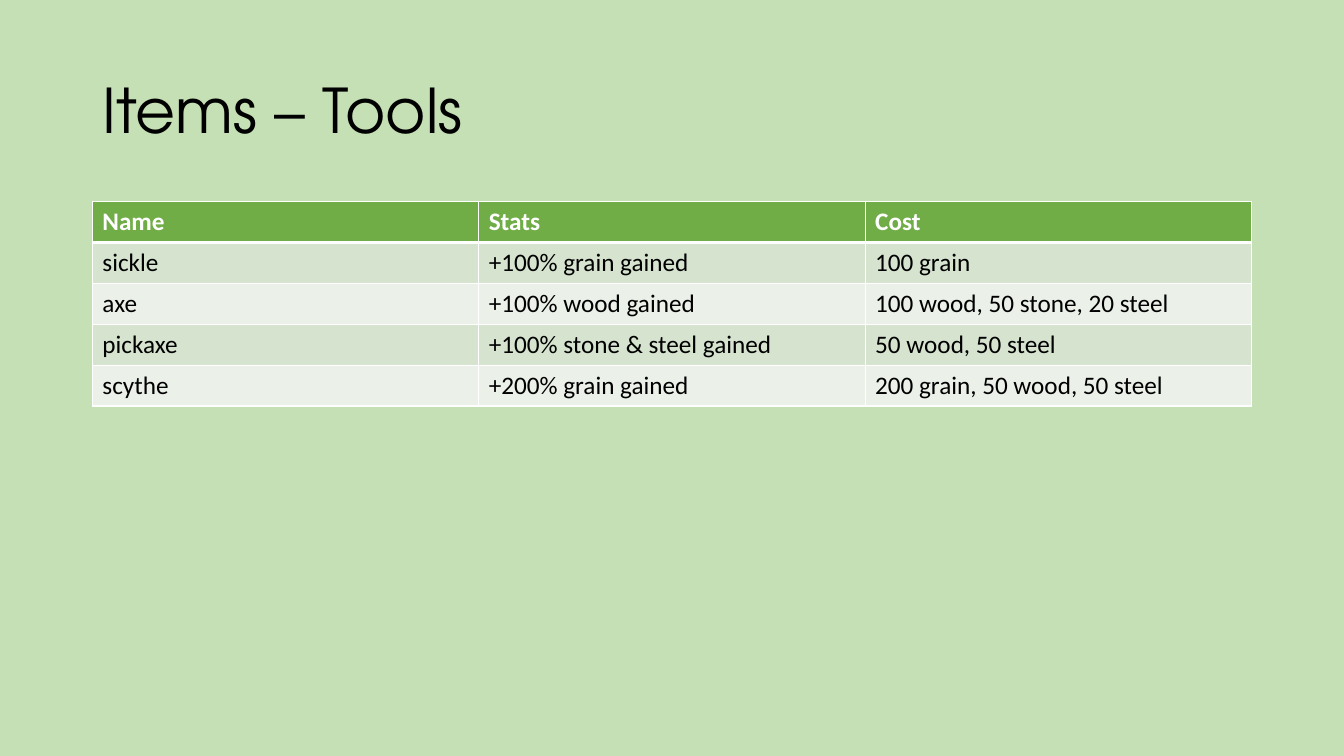
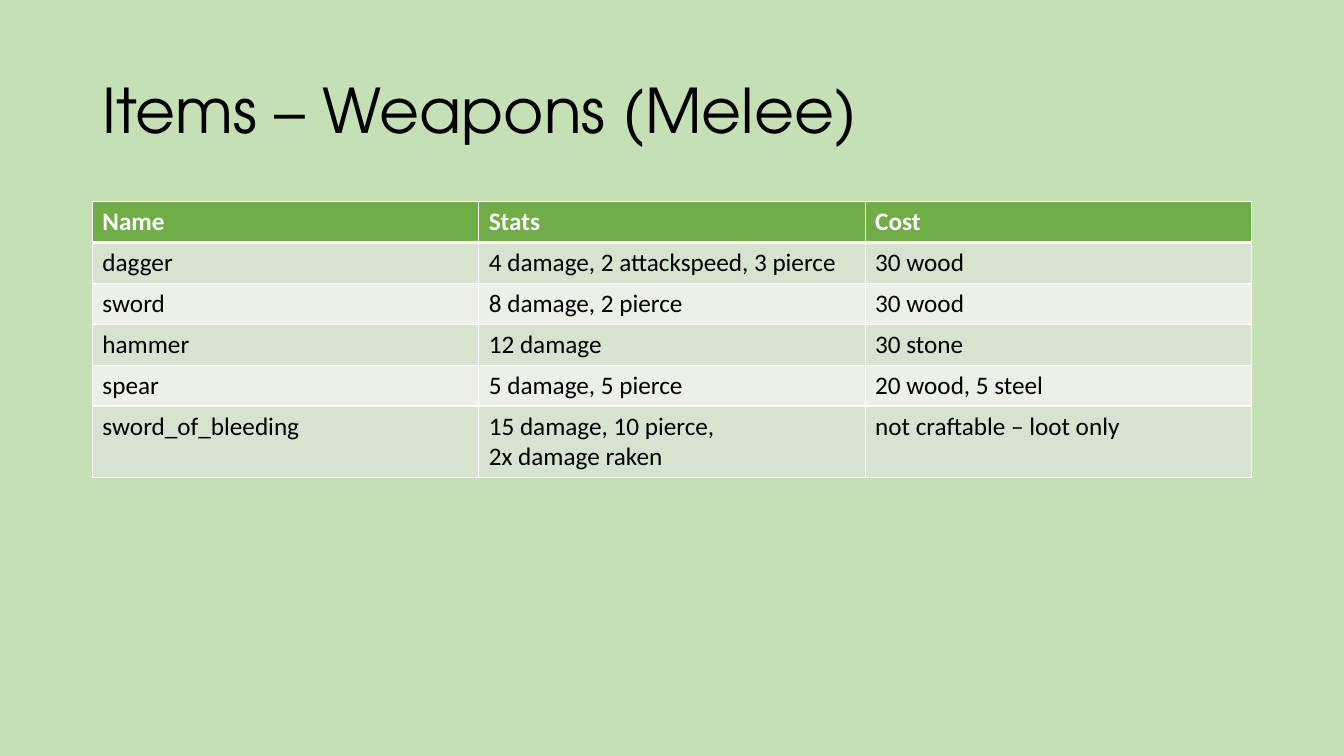
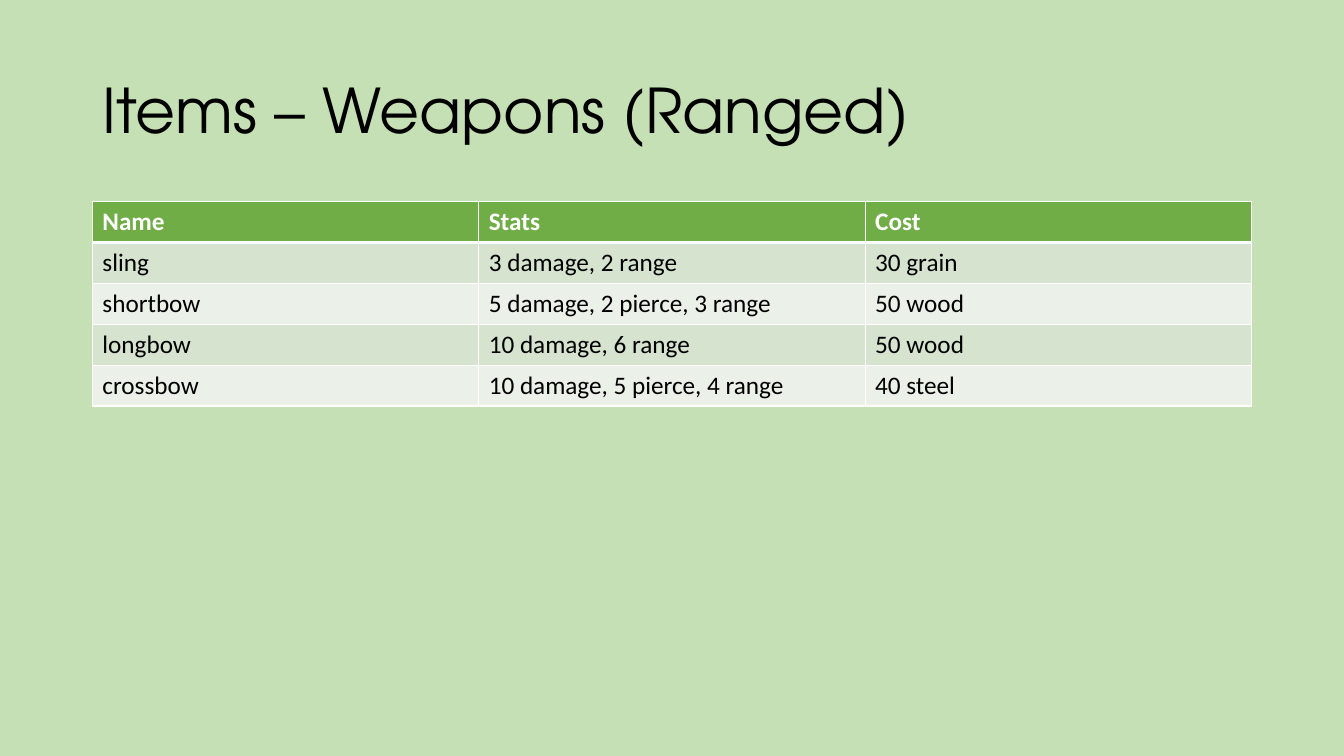
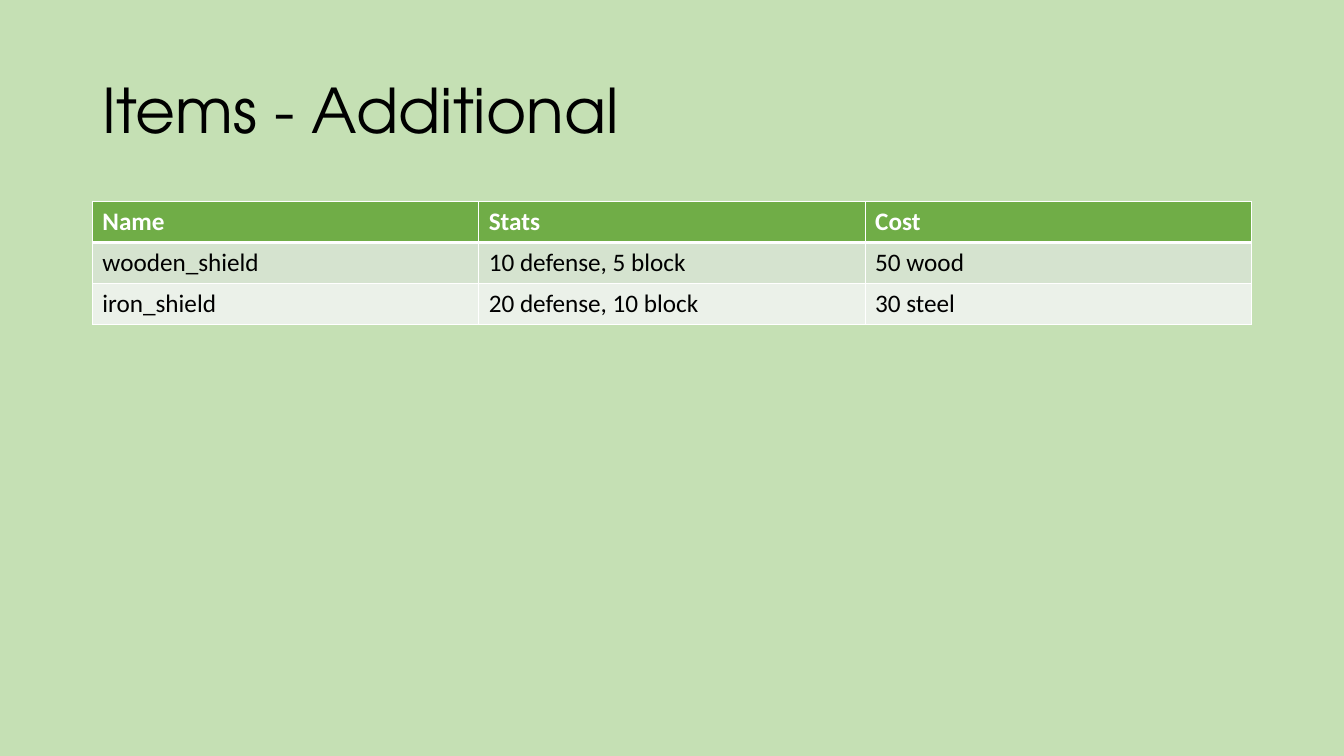
from lxml import etree
from pptx import Presentation
from pptx.dml.color import RGBColor
from pptx.enum import text
from pptx.oxml import ns
from pptx.util import Pt

BACK = RGBColor(0xC5, 0xE0, 0xB4)
HEAD = RGBColor(0x70, 0xAD, 0x47)
BANDS = RGBColor(0xD5, 0xE3, 0xCF), RGBColor(0xEB, 0xF1, 0xE9)
WHITE = RGBColor(0xFF, 0xFF, 0xFF)
BLACK = RGBColor(0, 0, 0)

TITLE = {"name": "TeX Gyre Adventor", "size": Pt(44), "bold": False}
LABEL = {"name": "Calibri", "size": Pt(18), "bold": True}
BODY = {"name": "Calibri", "size": Pt(18), "bold": False}
FRAME = {
    "word_wrap": True,
    "auto_size": text.MSO_AUTO_SIZE.NONE,
    "vertical_anchor": text.MSO_ANCHOR.MIDDLE,
}
PARA = {"alignment": text.PP_ALIGN.LEFT, "line_spacing": 0.9}

TITLE_BOX = Pt(66), Pt(28.8), Pt(828), Pt(104.4)
TABLE_BOX = Pt(66), Pt(144), Pt(828), Pt(29.2)
FIELDS = "Name", "Stats", "Cost"

PAGES = [
    ("Items – Tools", [
        ("sickle", "+100% grain gained", "100 grain"),
        ("axe", "+100% wood gained", "100 wood, 50 stone, 20 steel"),
        ("pickaxe", "+100% stone & steel gained", "50 wood, 50 steel"),
        ("scythe", "+200% grain gained", "200 grain, 50 wood, 50 steel"),
    ]),
    ("Items – Weapons (Melee)", [
        ("dagger", "4 damage, 2 attackspeed, 3 pierce", "30 wood"),
        ("sword", "8 damage, 2 pierce", "30 wood"),
        ("hammer", "12 damage", "30 stone"),
        ("spear", "5 damage, 5 pierce", "20 wood, 5 steel"),
        ("sword_of_bleeding", "15 damage, 10 pierce, \v2x damage raken",
         "not craftable – loot only"),
    ]),
    ("Items – Weapons (Ranged)", [
        ("sling", "3 damage, 2 range", "30 grain"),
        ("shortbow", "5 damage, 2 pierce, 3 range", "50 wood"),
        ("longbow", "10 damage, 6 range", "50 wood"),
        ("crossbow", "10 damage, 5 pierce, 4 range", "40 steel"),
    ]),
    ("Items - Additional", [
        ("wooden_shield", "10 defense, 5 block", "50 wood"),
        ("iron_shield", "20 defense, 10 block", "30 steel"),
    ]),
]


def apply(item, form):
    for key, value in form.items():
        setattr(item, key, value)


def style(font, form, color):
    apply(font, form)
    font.color.rgb = color


def edge(cell, side, width):
    props = cell._tc.get_or_add_tcPr()
    line = etree.SubElement(props, ns.qn("a:ln" + side), w=str(Pt(width)))
    fill = etree.SubElement(line, ns.qn("a:solidFill"))
    etree.SubElement(fill, ns.qn("a:srgbClr"), val=str(WHITE))


def add_title(slide, box, words):
    title = slide.shapes.title
    apply(title, dict(zip(("left", "top", "width", "height"), box)))
    frame = title.text_frame
    frame.text = words
    apply(frame, FRAME)
    para = frame.paragraphs[0]
    apply(para, PARA)
    style(para.font, TITLE, BLACK)


def add_cell(cell, row, words):
    thick = {0: "B", 1: "T"}.get(row)
    for side in "LRTB":
        edge(cell, side, 3 if side == thick else 1)
    cell.fill.solid()
    cell.fill.fore_color.rgb = BANDS[(row - 1) % 2] if row else HEAD
    cell.text = words
    form, color = (BODY, BLACK) if row else (LABEL, WHITE)
    for run in cell.text_frame.paragraphs[0].runs:
        style(run.font, form, color)


def add_grid(slide, box, items):
    left, top, width, step = box
    rows = [FIELDS, *items]
    grid = slide.shapes.add_table(
        len(rows), len(FIELDS), left, top, width, step * len(rows)).table
    for row, words in enumerate(rows):
        for col, word in enumerate(words):
            add_cell(grid.cell(row, col), row, word)
        lines = 1 + max(word.count("\v") for word in words)
        grid.rows[row].height = step + Pt(21.6) * (lines - 1)


def main():
    deck = Presentation()
    deck.slide_width, deck.slide_height = Pt(960), Pt(540)
    back = deck.slide_master.background.fill
    back.solid()
    back.fore_color.rgb = BACK
    for words, items in PAGES:
        slide = deck.slides.add_slide(deck.slide_layouts[5])
        add_title(slide, TITLE_BOX, words)
        add_grid(slide, TABLE_BOX, items)
    deck.save("out.pptx")


if __name__ == "__main__":
    main()
